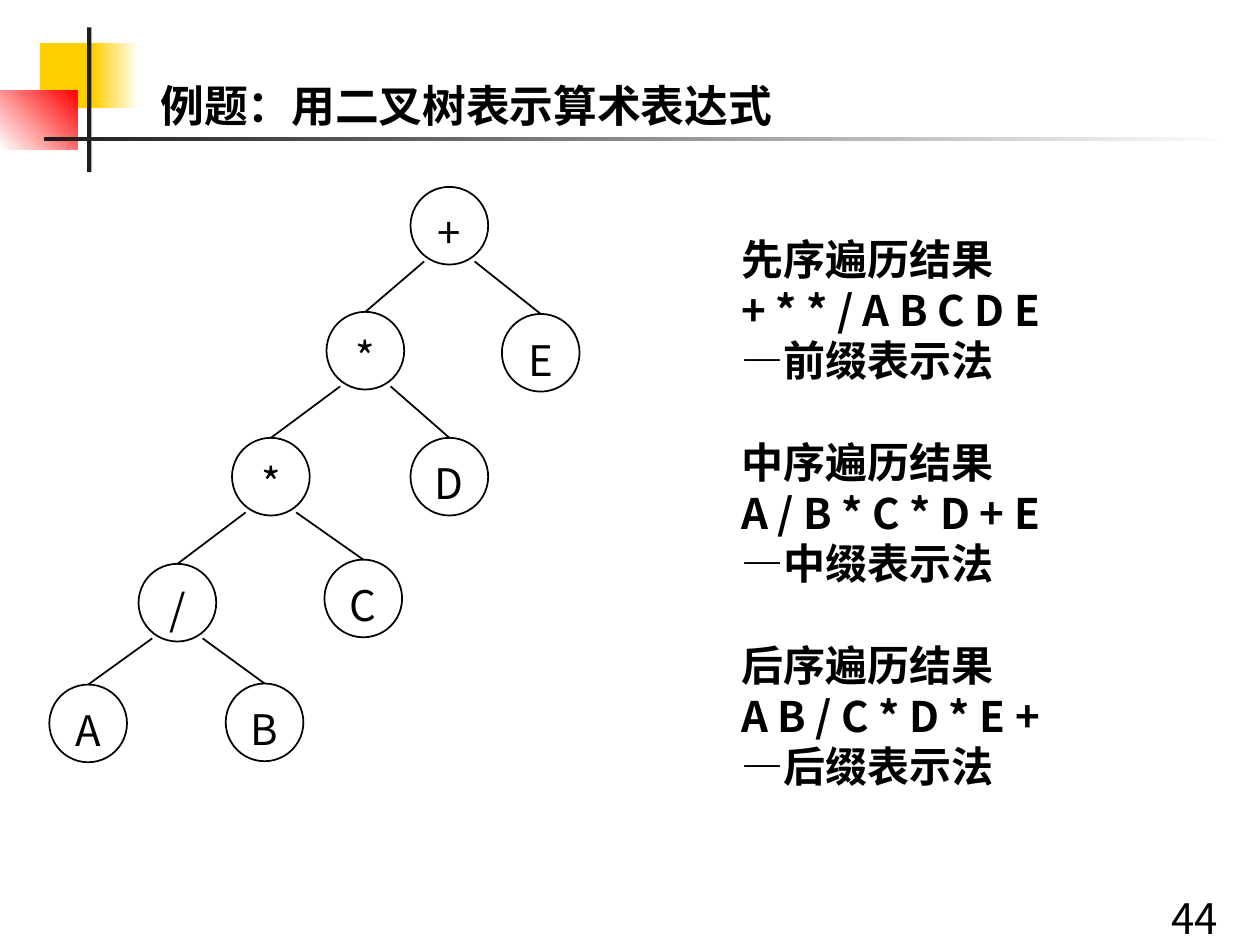
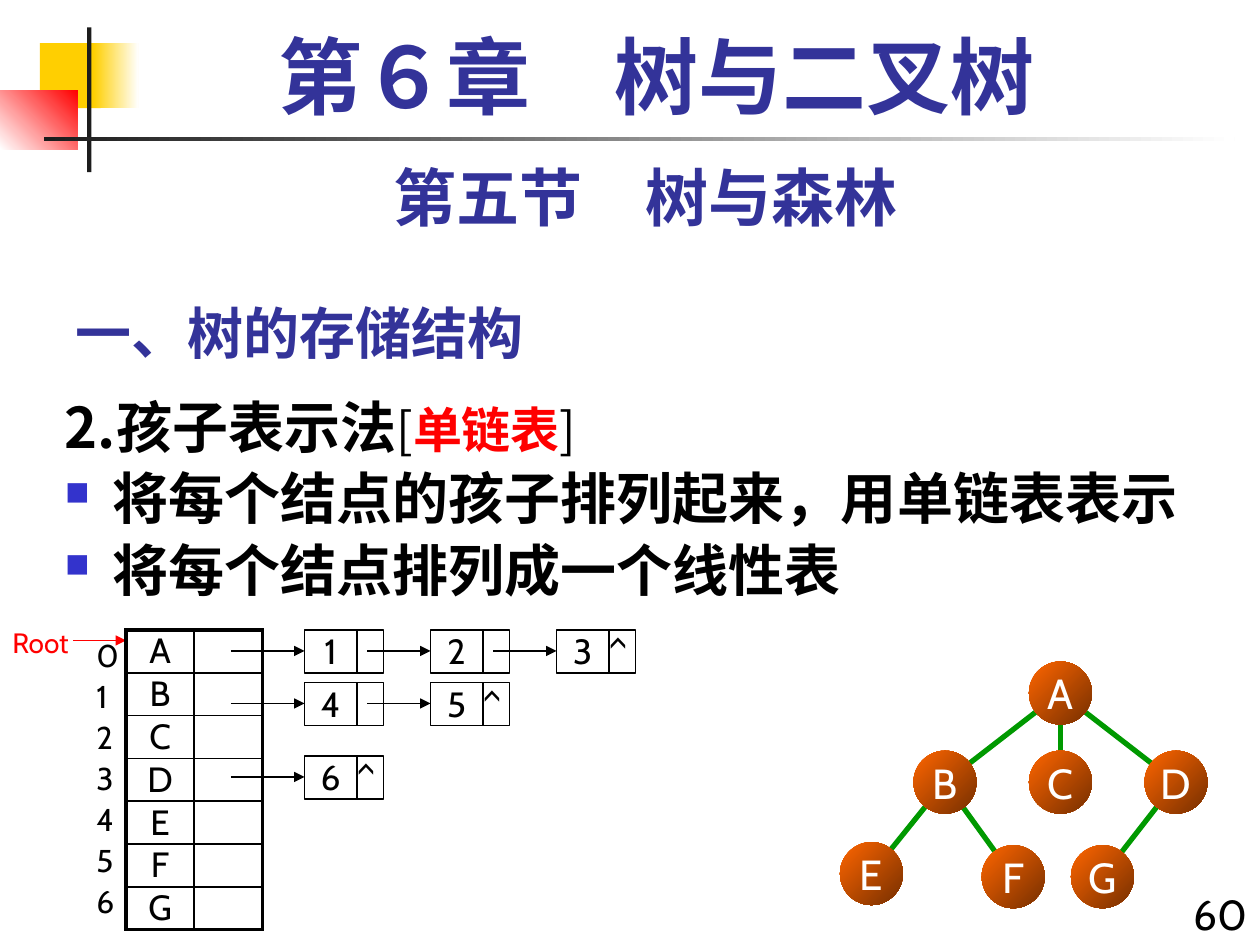
from math import hypot

from lxml import etree
from pptx import Presentation
from pptx.dml.color import RGBColor
from pptx.enum.shapes import MSO_CONNECTOR, MSO_SHAPE
from pptx.enum.text import MSO_ANCHOR, PP_ALIGN
from pptx.oxml.ns import qn
from pptx.util import Inches, Pt

RECT, OVAL = MSO_SHAPE.RECTANGLE, MSO_SHAPE.OVAL
STRAIGHT = MSO_CONNECTOR.STRAIGHT
TOP, MIDDLE, BOTTOM = MSO_ANCHOR.TOP, MSO_ANCHOR.MIDDLE, MSO_ANCHOR.BOTTOM
LEFT, CENTER, RIGHT = PP_ALIGN.LEFT, PP_ALIGN.CENTER, PP_ALIGN.RIGHT

BLACK = RGBColor(0, 0, 0)
WHITE = RGBColor(255, 255, 255)
RED = RGBColor(255, 0, 0)
YELLOW = RGBColor(0xFF, 0xCF, 0x01)
CHARCOAL = RGBColor(0x1C, 0x1C, 0x1C)
INDIGO = RGBColor(0x33, 0x33, 0x99)
BULLET_BLUE = RGBColor(0x33, 0x33, 0xCC)
GREEN = RGBColor(0, 0x99, 0)
ORANGE = RGBColor(0xFF, 0x66, 0)
BROWN = RGBColor(0x76, 0x2F, 0)

HAN, ROUND, SERIF = "Noto Sans CJK SC", "Cabin", "Times New Roman"

prs = Presentation()
prs.slide_width, prs.slide_height = Inches(10), Inches(7.5)
GRID = prs.slide_width / 120
INSETS = (1.2, 0.6, 1.2, 0.6)


def put(slide, kind, box, fill=(), angle=0, line=None, anchor=TOP, insets=INSETS, wrap=True):
    place = [round(n * GRID) for n in box]
    if kind is None:
        shape = slide.shapes.add_textbox(*place)
    else:
        shape = slide.shapes.add_shape(kind, *place)
        shape.shadow.inherit = False
        if len(fill) == 2:
            shape.fill.gradient()
            shape.fill.gradient_angle = angle
            for stop, color, position in zip(shape.fill.gradient_stops, fill, (0, 1)):
                stop.color.rgb, stop.position = color, position
        elif fill:
            shape.fill.solid()
            shape.fill.fore_color.rgb = fill[0]
        else:
            shape.fill.background()
        if line:
            shape.line.color.rgb, shape.line.width = BLACK, Pt(line)
        else:
            shape.line.fill.background()
    frame = shape.text_frame
    frame.word_wrap, frame.vertical_anchor = wrap, anchor
    frame.margin_left, frame.margin_top, frame.margin_right, frame.margin_bottom = [
        round(n * GRID) for n in insets]
    return frame


def write(frame, lines, size, font=HAN, color=BLACK, bold=False, align=LEFT, pitch=None, gap=0):
    for i, line in enumerate(lines):
        paragraph = frame.add_paragraph() if i else frame.paragraphs[0]
        paragraph.alignment = align
        if pitch:
            paragraph.line_spacing = Pt(pitch)
        if i and gap:
            paragraph.space_before = Pt(gap)
        runs = [(line, size, color, bold)] if isinstance(line, str) else line
        for words, run_size, run_color, run_bold in runs:
            run = paragraph.add_run()
            run.text = words
            run.font.size, run.font.bold = Pt(run_size), run_bold
            run.font.color.rgb = run_color
            run.font.name = font
            etree.SubElement(run.font._element, qn("a:ea"), typeface=HAN)


expression_slide, storage_slide = [
    prs.slides.add_slide(prs.slide_layouts[6]) for _ in range(2)]

corner_marks = [
    ((3.8, 4.1, 5.8, 6.2), [YELLOW], 0),
    ((8.9, 4.1, 4.3, 6.2), [YELLOW, WHITE], 0),
    ((0, 8.6, 7.4, 5.6), [WHITE, RED], 45),
    ((8.3, 2.6, 0.4, 13.8), [CHARCOAL], 0),
    ((4.2, 13, 113.4, 0.4), [CHARCOAL, WHITE], 0),
]
for slide in (expression_slide, storage_slide):
    for box, fill, angle in corner_marks:
        put(slide, RECT, box, fill, angle)

expression_nodes = [
    ("+", 42.8, 21.5, None), ("*", 34.8, 33.4, 0), ("E", 51.5, 33.6, 0),
    ("*", 25.8, 45.4, 1), ("D", 42.8, 45.4, 1), ("/", 16.9, 57.4, 3),
    ("C", 34.6, 57, 3), ("A", 8.4, 68.9, 5), ("B", 25.2, 68.8, 5),
]
sample_nodes = [
    ("A", 101, 66, None), ("B", 90, 74.5, 0), ("C", 101, 74.5, 0), ("D", 112, 74.5, 0),
    ("E", 83, 83.2, 1), ("F", 96.5, 83.5, 1), ("G", 105, 83.5, 3),
]
child_lists = [(60, "123"), (65, "45"), (72, "6")]
NODE_STEP, NODE_START = 12, 29

links = []
for label, x, y, parent in expression_nodes[1:]:
    _, px, py, _ = expression_nodes[parent]
    side = 2.4 if x > px else -2.4
    links.append((expression_slide, (px + side, py + 3.4, x, y - 3.7), BLACK, 1, False))
for label, x, y, parent in sample_nodes[1:]:
    _, px, py, _ = sample_nodes[parent]
    reach = 1.8 / hypot(x - px, y - py)
    dx, dy = (x - px) * reach, (y - py) * reach
    links.append((storage_slide, (px + dx, py + dy, x - dx, y - dy), GREEN, 3, False))
for top, children in child_lists:
    for i in range(len(children)):
        head = NODE_START + NODE_STEP * i
        tail = head - 6 if i else head - 7
        links.append((storage_slide, (tail, top + 2, head, top + 2), BLACK, 0.75, True))
links.append((storage_slide, (7, 61, 12, 61), RED, 0.75, True))

for slide, ends, color, width, arrow in links:
    link = slide.shapes.add_connector(STRAIGHT, *[round(n * GRID) for n in ends])
    link.line.color.rgb, link.line.width = color, Pt(width)
    if arrow:
        etree.SubElement(link.line._get_or_add_ln(), qn("a:tailEnd"), type="triangle")
    etree.SubElement(link._element.spPr, qn("a:effectLst"))

title = put(expression_slide, None, (8.4, 3.7, 72, 9), anchor=BOTTOM, insets=(1.2, 0.6, 1.2, 0.2))
write(title, ["例题：用二叉树表示算术表达式"], 25, bold=True, align=CENTER)
for label, x, y, _ in expression_nodes:
    node = put(expression_slide, OVAL, (x - 3.7, y - 3.7, 7.4, 7.4), line=1,
               anchor=MIDDLE, insets=(0, 1.2, 0, 0), wrap=False)
    write(node, [label], 24, align=CENTER, pitch=29)

traversals = [
    "先序遍历结果", "+ * * / A B C D E", "—前缀表示法",
    "中序遍历结果", "A / B * C * D + E", "—中缀表示法",
    "后序遍历结果", "A B / C * D * E +", "—后缀表示法",
]
results = put(expression_slide, None, (69.4, 21.6, 37.1, 59.4))
write(results, traversals, 24, bold=True, pitch=29)
for heading in results.paragraphs[3::3]:
    heading.space_before = Pt(29)
write(put(expression_slide, None, (110.4, 84, 9.6, 6)), ["44"], 24, pitch=31)

chapter = put(storage_slide, None, (8, 2, 109, 10))
write(chapter, ["第６章\u3000树与二叉树".replace("\u3000", "　")], 48, SERIF, INDIGO, True, CENTER, 56)
section = put(storage_slide, None, (6, 14, 111, 8.4))
write(section, ["第五节　树与森林"], 36, ROUND, INDIGO, True, CENTER, 46)
topic = put(storage_slide, None, (6, 26, 75, 9), anchor=BOTTOM, insets=(1.2, 0.6, 1.2, 0.2))
write(topic, ["一、树的存储结构"], 32, color=INDIGO, bold=True)

method = [("2.孩子表示法", 32, BLACK, True), ("[", 28, BLACK, False),
          ("单链表", 28, RED, True), ("]", 28, BLACK, False)]
body = put(storage_slide, None, (5, 37, 115, 53))
write(body, [method, "将每个结点的孩子排列起来，用单链表表示", "将每个结点排列成一个线性表"],
      32, bold=True, pitch=37, gap=4)
for point in body.paragraphs[1:]:
    props = point._p.get_or_add_pPr()
    props.set("marL", str(Inches(0.38)))
    props.set("indent", str(-Inches(0.38)))
    bullet_color = etree.SubElement(props, qn("a:buClr"))
    etree.SubElement(bullet_color, qn("a:srgbClr"), val=str(BULLET_BLUE))
    etree.SubElement(props, qn("a:buSzPct"), val="60000")
    etree.SubElement(props, qn("a:buChar"), char="■")

for label, x, y, _ in sample_nodes:
    node = put(storage_slide, OVAL, (x - 3, y - 3, 6, 6), [ORANGE, BROWN], 315,
               anchor=MIDDLE, insets=(0, 0.6, 0, 0.6), wrap=False)
    write(node, [label], 24, ROUND, WHITE, align=CENTER)

names = "ABCDEFG"
ROW = round(4.08 * GRID)
table = storage_slide.shapes.add_table(
    len(names), 2, round(12 * GRID), round(60 * GRID), round(13 * GRID), ROW * len(names)).table
table.first_row = table.horz_banding = False
for r, name in enumerate(names):
    table.rows[r].height = ROW
    for c in range(2):
        cell = table.cell(r, c)
        cell.margin_top = cell.margin_bottom = 0
        cell.fill.background()
        if c == 0:
            write(cell.text_frame, [name], 20, ROUND, align=CENTER)
        outer = [("L", c == 0), ("R", c == 1), ("T", r == 0), ("B", r == len(names) - 1)]
        for order, (side, thick) in enumerate(outer):
            border = etree.Element(qn("a:ln" + side), w=str(Pt(2.25 if thick else 1)))
            paint = etree.SubElement(border, qn("a:solidFill"))
            etree.SubElement(paint, qn("a:srgbClr"), val=str(BLACK))
            cell._tc.get_or_add_tcPr().insert(order, border)

indexes = put(storage_slide, None, (8, 60, 5, 28.5))
write(indexes, [str(i) for i in range(len(names))], 18, ROUND, gap=1.8)
write(put(storage_slide, None, (0, 59, 8, 4.4)), ["Root"], 16, ROUND, RED)

for top, children in child_lists:
    for i, child in enumerate(children):
        left = NODE_START + NODE_STEP * i
        value = put(storage_slide, RECT, (left, top, 5, 4.1), line=0.75, insets=(0, 0, 0, 0))
        write(value, [child], 20, ROUND, align=CENTER)
        pointer = put(storage_slide, RECT, (left + 5, top, 2.5, 4.1), line=0.75, insets=(0, 0, 0, 0))
        if i == len(children) - 1:
            write(pointer, ["^"], 20, ROUND)

write(put(storage_slide, None, (112, 84, 8, 6)), ["60"], 24, ROUND, align=RIGHT)

prs.save("out.pptx")
